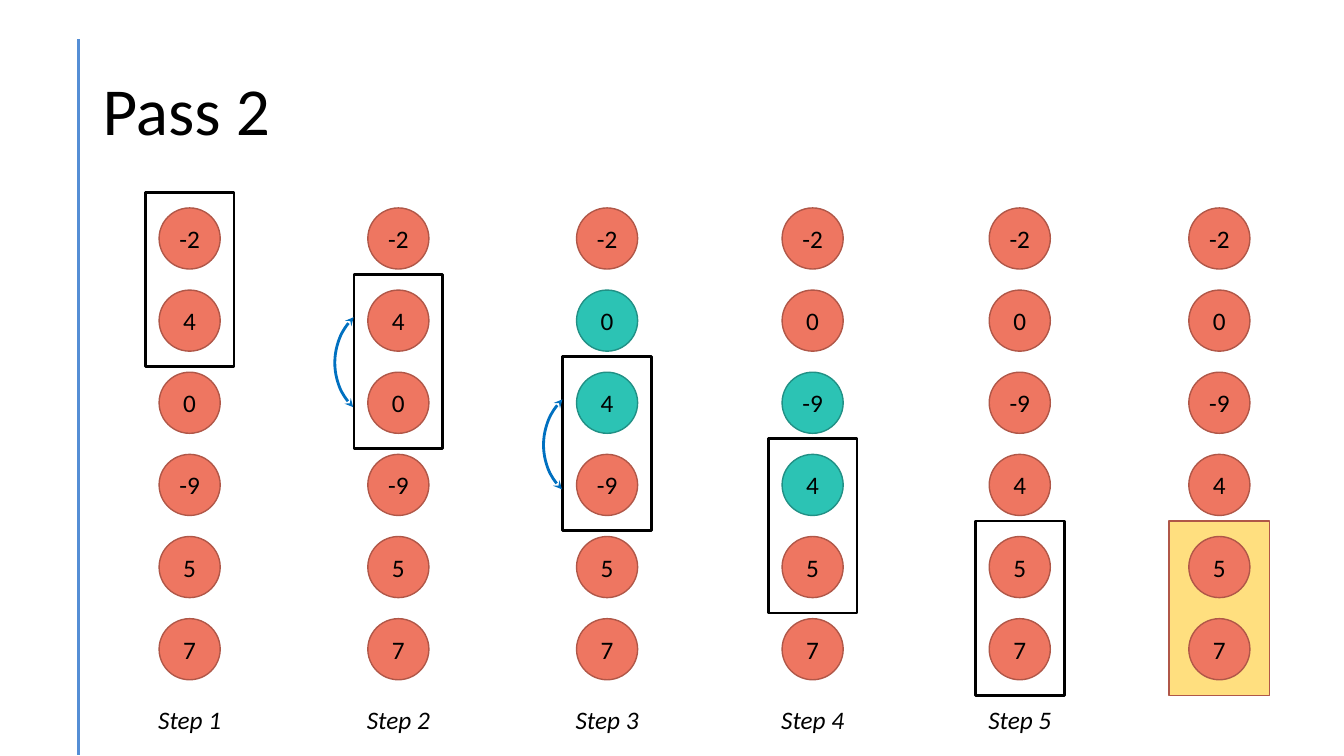
from lxml import etree
from pptx import Presentation
from pptx.dml.color import RGBColor
from pptx.enum.shapes import MSO_CONNECTOR, MSO_SHAPE as SHAPE
from pptx.enum.text import MSO_ANCHOR as ANCHOR, PP_ALIGN as ALIGN
from pptx.oxml.ns import qn
from pptx.util import Cm, Pt

COLORS = {
    "text": "000000",
    "margin": "558ED5",
    "number": "EE7661",
    "number_edge": "B05748",
    "swapped": "2CC3B4",
    "swapped_edge": "219085",
    "sorted": "FFC000",
    "swap_arrow": "0070C0",
}
DIAMETER = 1.54
FIRST_TOP, ROW_PITCH = 5.24, 2.07
WINDOW_WIDTH, WINDOW_HEIGHT, WINDOW_LIFT = 2.24, 4.39, 0.39

# column centre, numbers, swapped rows, first row of the window, swap arrow
STEPS = [
    (4.78, [-2, 4, 0, -9, 5, 7], (), 0, False),
    (10.04, [-2, 4, 0, -9, 5, 7], (), 1, True),
    (15.3, [-2, 0, 4, -9, 5, 7], (1, 2), 2, True),
    (20.48, [-2, 0, -9, 4, 5, 7], (2, 3), 3, False),
    (25.7, [-2, 0, -9, 4, 5, 7], (), 4, False),
]
RESULT_CENTER, RESULT = 30.73, [-2, 0, -9, 4, 5, 7]
SORTED_FROM = 4


def rgb(color):
    return RGBColor.from_string(COLORS[color])


def window_top(row):
    return FIRST_TOP + row * ROW_PITCH - WINDOW_LIFT


class SortSlide:
    font = "Calibri"

    def __init__(self, slide):
        self.slide = slide

    def shape(self, kind, left, top, width, height, edge, weight, fill=None):
        item = self.slide.shapes.add_shape(
            kind, Cm(left), Cm(top), Cm(width), Cm(height))
        item.shadow.inherit = False
        item.line.color.rgb = rgb(edge)
        item.line.width = Pt(weight)
        if fill:
            item.fill.solid()
            item.fill.fore_color.rgb = rgb(fill)
        else:
            item.fill.background()
        return item

    def put_text(self, frame, text, size=18, align=ALIGN.CENTER, italic=False):
        frame.text = text
        paragraph = frame.paragraphs[0]
        paragraph.alignment = align
        font = paragraph.font
        font.name, font.size, font.italic = self.font, Pt(size), italic
        font.color.rgb = rgb("text")
        return paragraph

    def text_box(self, left, top, width, height):
        frame = self.slide.shapes.add_textbox(
            Cm(left), Cm(top), Cm(width), Cm(height)).text_frame
        frame.word_wrap = True
        return frame

    def title(self, text):
        frame = self.text_box(2.34, 1.02, 29.21, 3.68)
        frame.vertical_anchor = ANCHOR.MIDDLE
        self.put_text(frame, text, 48, ALIGN.LEFT).line_spacing = 0.9

    def margin_line(self):
        line = self.slide.shapes.add_connector(
            MSO_CONNECTOR.STRAIGHT, Cm(1.98), Cm(0.99), Cm(1.98), Cm(19.02))
        line.line.color.rgb = rgb("margin")
        line.line.width = Pt(2)
        etree.SubElement(line._element.spPr, qn("a:effectLst"))

    def numbers(self, center, values, swapped=()):
        for row, value in enumerate(values):
            color = "swapped" if row in swapped else "number"
            circle = self.shape(
                SHAPE.OVAL, center - DIAMETER / 2, FIRST_TOP + row * ROW_PITCH,
                DIAMETER, DIAMETER, f"{color}_edge", 1, color)
            frame = circle.text_frame
            frame.margin_left = frame.margin_right = 0
            frame.vertical_anchor = ANCHOR.MIDDLE
            self.put_text(frame, str(value))

    def step_label(self, center, text):
        width = 2.72
        frame = self.text_box(center - width / 2, 17.63, width, 1.02)
        self.put_text(frame, text, italic=True)

    def window(self, center, row):
        """Frame the two numbers being compared."""
        self.shape(SHAPE.RECTANGLE, center - WINDOW_WIDTH / 2, window_top(row),
                   WINDOW_WIDTH, WINDOW_HEIGHT, "text", 2)

    def swap_arrow(self, center, row):
        width, height = 3.18, 3.23
        middle = window_top(row) + WINDOW_HEIGHT / 2
        arrow = self.shape(SHAPE.ARC, center - width / 2, middle - height / 2,
                           width, height, "swap_arrow", 2)
        arrow.rotation = 224.9
        outline = arrow._element.spPr.find(qn("a:ln"))
        for end in ("a:headEnd", "a:tailEnd"):
            etree.SubElement(outline, qn(end), type="stealth")

    def sorted_area(self, center, row):
        width = 2.54
        area = self.shape(SHAPE.RECTANGLE, center - width / 2, window_top(row),
                          width, WINDOW_HEIGHT, "number_edge", 1, "sorted")
        color = area._element.spPr.find(f"{qn('a:solidFill')}/{qn('a:srgbClr')}")
        etree.SubElement(color, qn("a:alpha"), val="50000")


def main():
    deck = Presentation()
    deck.slide_width, deck.slide_height = Cm(33.87), Cm(19.05)
    page = SortSlide(deck.slides.add_slide(deck.slide_layouts[6]))

    page.margin_line()
    page.title("Pass 2")
    page.sorted_area(RESULT_CENTER, SORTED_FROM)
    for number, (center, values, swapped, row, swaps) in enumerate(STEPS, 1):
        page.step_label(center, f"Step {number}")
        page.numbers(center, values, swapped)
        page.window(center, row)
        if swaps:
            page.swap_arrow(center, row)
    page.numbers(RESULT_CENTER, RESULT)

    deck.save("out.pptx")


if __name__ == "__main__":
    main()
